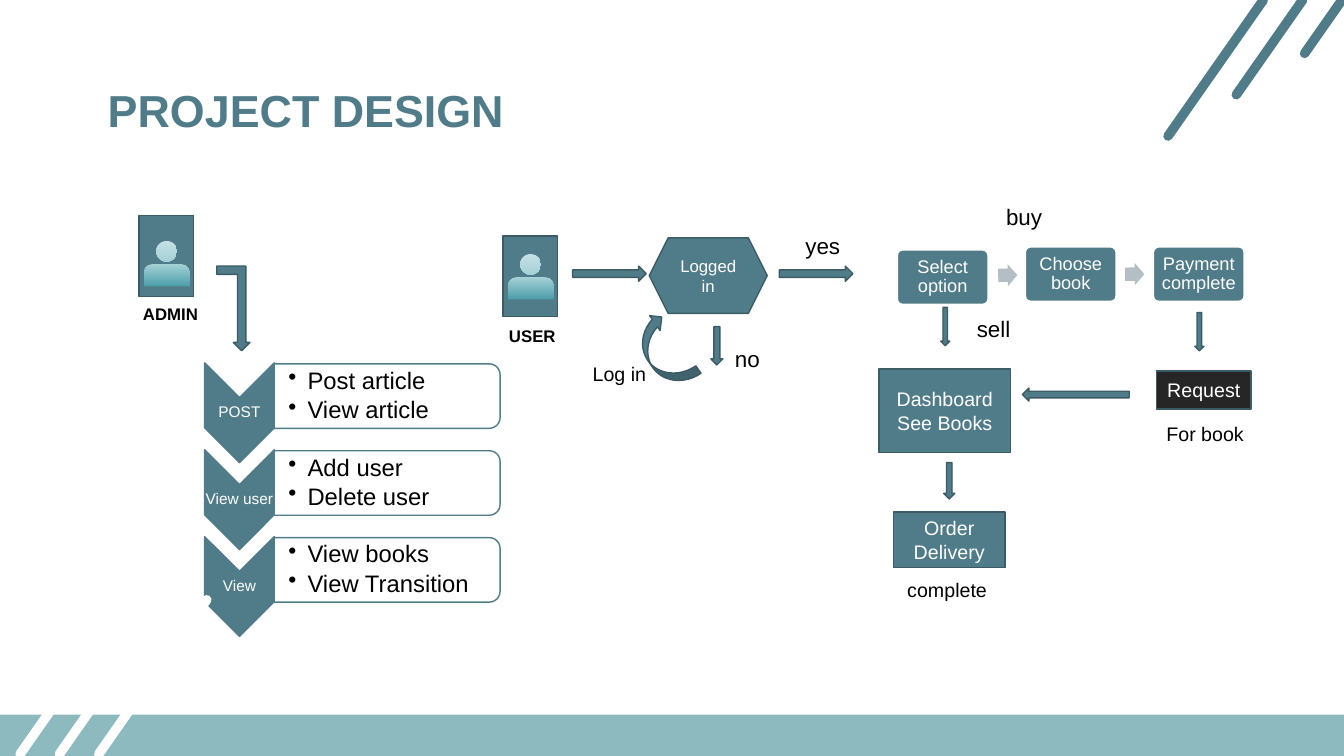
from lxml import etree
from pptx import Presentation
from pptx.dml.color import RGBColor
from pptx.enum.shapes import MSO_CONNECTOR, MSO_SHAPE
from pptx.enum.text import MSO_ANCHOR, PP_ALIGN
from pptx.oxml.ns import qn
from pptx.util import Inches, Pt

RECT, ROUNDED = MSO_SHAPE.RECTANGLE, MSO_SHAPE.ROUNDED_RECTANGLE
TAB = MSO_SHAPE.ROUND_2_SAME_RECTANGLE
CHEVRON, HEXAGON, OVAL = MSO_SHAPE.CHEVRON, MSO_SHAPE.HEXAGON, MSO_SHAPE.OVAL
RIGHT, LEFT, DOWN = MSO_SHAPE.RIGHT_ARROW, MSO_SHAPE.LEFT_ARROW, MSO_SHAPE.DOWN_ARROW
BENT, CURVED = MSO_SHAPE.BENT_UP_ARROW, MSO_SHAPE.CURVED_DOWN_ARROW
STRAIGHT = MSO_CONNECTOR.STRAIGHT
TOP, MIDDLE = MSO_ANCHOR.TOP, MSO_ANCHOR.MIDDLE
START, CENTER = PP_ALIGN.LEFT, PP_ALIGN.CENTER

COLORS = {
    "teal": "507C89", "edge": "3B5C65", "band": "8CBABE", "gray": "B3BFC4",
    "dark": "262626", "white": "FFFFFF", "black": "000000",
    "pale": "C4E0E4", "light": "A5D1D6", "deep": "4D9EA9",
}


class DesignSlide:
    """Draws flow elements on a grid of 0.1 inch columns and rows."""

    font = "Arial"
    cell = Inches(0.1)

    def __init__(self, page):
        self.page = page

    def grid(self, *counts):
        return [round(count * self.cell) for count in counts]

    def color(self, name):
        return RGBColor.from_string(COLORS[name])

    def shape(self, kind, place, fill="teal", line="edge", turn=0, adjust=(), flip=False):
        shape = self.page.shapes.add_shape(kind, *self.grid(*place))
        shape.shadow.inherit = False
        shape.rotation = turn
        for index, value in enumerate(adjust):
            shape.adjustments[index] = value
        shape.fill.solid()
        shape.fill.fore_color.rgb = self.color(fill)
        if line:
            shape.line.color.rgb = self.color(line)
            shape.line.width = Pt(1)
        else:
            shape.line.fill.background()
        if flip:
            shape.element.spPr.find(qn("a:xfrm")).set("flipV", "1")
        return shape

    def add_text(self, shape, lines, size, color, bold=False, align=CENTER, anchor=MIDDLE,
                 insets=(1, 0.5, 1, 0.5), spacing=1, bullets=False):
        frame = shape.text_frame
        frame.word_wrap = True
        frame.vertical_anchor = anchor
        (frame.margin_left, frame.margin_top,
         frame.margin_right, frame.margin_bottom) = self.grid(*insets)
        for index, line in enumerate(lines):
            para = frame.paragraphs[0] if index == 0 else frame.add_paragraph()
            para.alignment = align
            para.line_spacing = spacing
            if bullets:
                self.bullet(para)
            span = para.add_run()
            span.text = line
            span.font.name = self.font
            span.font.size = Pt(size)
            span.font.bold = bold
            span.font.color.rgb = self.color(color)

    def bullet(self, para):
        para.space_after = Pt(2.6)
        properties = para._p.get_or_add_pPr()
        properties.set("marL", str(Inches(0.19)))
        properties.set("indent", str(-Inches(0.19)))
        etree.SubElement(properties, qn("a:buChar")).set("char", "•")

    def label(self, text, place, size, color="black", bold=False):
        box = self.page.shapes.add_textbox(*self.grid(*place))
        self.add_text(box, [text], size, color, bold, START, TOP)

    def node(self, kind, place, lines, size=14, fill="teal"):
        self.add_text(self.shape(kind, place, fill), lines, size, "white")

    def step(self, text, left, top):
        box = self.shape(ROUNDED, (left, top, 9, 5.4), line="white", adjust=(0.1,))
        self.add_text(box, [text], 13, "white", insets=(0.6,) * 4, spacing=0.9)

    def person(self, name, left, top, icon_top, name_place):
        self.shape(RECT, (left, top, 5.4, 8))
        parts = [(OVAL, (left + 1.7, icon_top, 2.05, 2.05), "pale", "light"),
                 (TAB, (left + 0.5, icon_top + 2.3, 4.5, 2.2), "light", "deep")]
        for kind, place, upper, lower in parts:
            part = self.shape(kind, place, line=None)
            if kind == TAB:
                part.adjustments[0] = 0.37
            part.fill.gradient()
            part.fill.gradient_angle = 270
            for stop, shade in zip(part.fill.gradient_stops, (upper, lower)):
                stop.color.rgb = self.color(shade)
        self.label(name, (*name_place, 10, 3), 12, bold=True)

    def task(self, name, details, top):
        self.shape(CHEVRON, (18.8, top + 1.45, 9.9, 6.9), line="teal", turn=90)
        self.shape(TAB, (35.2, top - 7.95, 6.4, 22.4), "white", "teal", 90)
        title = self.page.shapes.add_textbox(*self.grid(20.3, top + 3.4, 6.9, 3))
        self.add_text(title, [name], 11, "white", insets=(0.1,) * 4, spacing=0.9)
        body = self.page.shapes.add_textbox(*self.grid(27.3, top + 0.35, 22.1, 5.8))
        self.add_text(body, details, 17, "black", align=START,
                      insets=(1.3, 0.1, 0.1, 0.1), spacing=0.9, bullets=True)

    def stripes(self, left, top, pitch, first, direction, color):
        for index in range(3):
            start = left + pitch * index
            reach = direction * (first + 4.1 * index)
            ends = self.grid(start, top, start - 0.7 * reach, top + reach)
            line = self.page.shapes.add_connector(STRAIGHT, *ends)
            line.line.color.rgb = self.color(color)
            line.line.width = Pt(6.8)
            line.element.spPr.find(qn("a:ln")).set("cap", "rnd")
            etree.SubElement(line.element.spPr, qn("a:effectLst"))


def main():
    deck = Presentation()
    deck.slide_width, deck.slide_height = Inches(13.33), Inches(7.5)
    slide = DesignSlide(deck.slides.add_slide(deck.slide_layouts[6]))

    slide.person("ADMIN", 13.8, 21.4, 23.9, (13.2, 29.6))
    tasks = [("POST", ["Post article", "View article"]),
             ("View user", ["Add user", "Delete user"]),
             ("View", ["View books", "View Transition"])]
    for index, (name, details) in enumerate(tasks):
        slide.task(name, details, 36.05 + 8.62 * index)
    slide.shape(BENT, (21.5, 26.4, 3.3, 8.4), flip=True)

    slide.person("USER", 49.9, 23.4, 25.2, (49.5, 31.8))
    slide.node(HEXAGON, (64.4, 23.6, 11.7, 7.5), ["Logged in"], 12)
    slide.step("Select option", 89, 24.8)
    slide.step("Choose book", 101.7, 24.5)
    slide.step("Payment complete", 114.4, 24.5)
    for left, top, turn in [(99, 26.2, -1.2), (111.6, 26.1, -0.2)]:
        slide.shape(RIGHT, (left, top, 1.9, 2.2), "gray", None, turn, (0.6, 0.5))

    slide.node(RECT, (114.7, 36.8, 9.4, 3.8), ["Request"], fill="dark")
    slide.node(RECT, (87.2, 36.6, 13, 8.3), ["Dashboard", "See Books"])
    slide.node(RECT, (88.6, 50.8, 11.1, 5.5), ["Order Delivery"])

    arrows = [(RIGHT, (56.8, 26.4, 7.3, 1.5)), (RIGHT, (77.3, 26.4, 7.3, 1.5)),
              (DOWN, (70.5, 32.4, 1.2, 3.8)), (DOWN, (118.5, 31, 0.9, 3.8)),
              (DOWN, (93.3, 30.5, 0.9, 3.8)), (DOWN, (93.6, 45.9, 1.1, 3.6)),
              (LEFT, (101.4, 38.5, 10.6, 1.3))]
    for kind, place in arrows:
        slide.shape(kind, place)
    slide.shape(CURVED, (62, 33.1, 7.7, 3.6), turn=235.1)

    for text, left, top in [("no", 71.9, 33.8), ("yes", 78.9, 22.5),
                            ("buy", 98.8, 19.7), ("sell", 95.9, 30.8)]:
        slide.label(text, (left, top, 7.3, 3.7), 16)
    for text, left, top in [("Log in", 57.8, 35.4), ("For book", 114.7, 41.4),
                            ("complete", 89, 56.8)]:
        slide.label(text, (left, top, 12.3, 3.4), 14)

    slide.shape(RECT, (0, 70.9, 133.3, 4.1), "band", None)
    slide.stripes(133.1, 0, -3.9, 5.3, 1, "teal")
    slide.stripes(2, 74.8, 3.9, 7.1, -1, "white")
    slide.label("PROJECT DESIGN", (9.7, 7.7, 71.8, 6.4), 32, "teal", True)
    deck.save("out.pptx")


if __name__ == "__main__":
    main()
